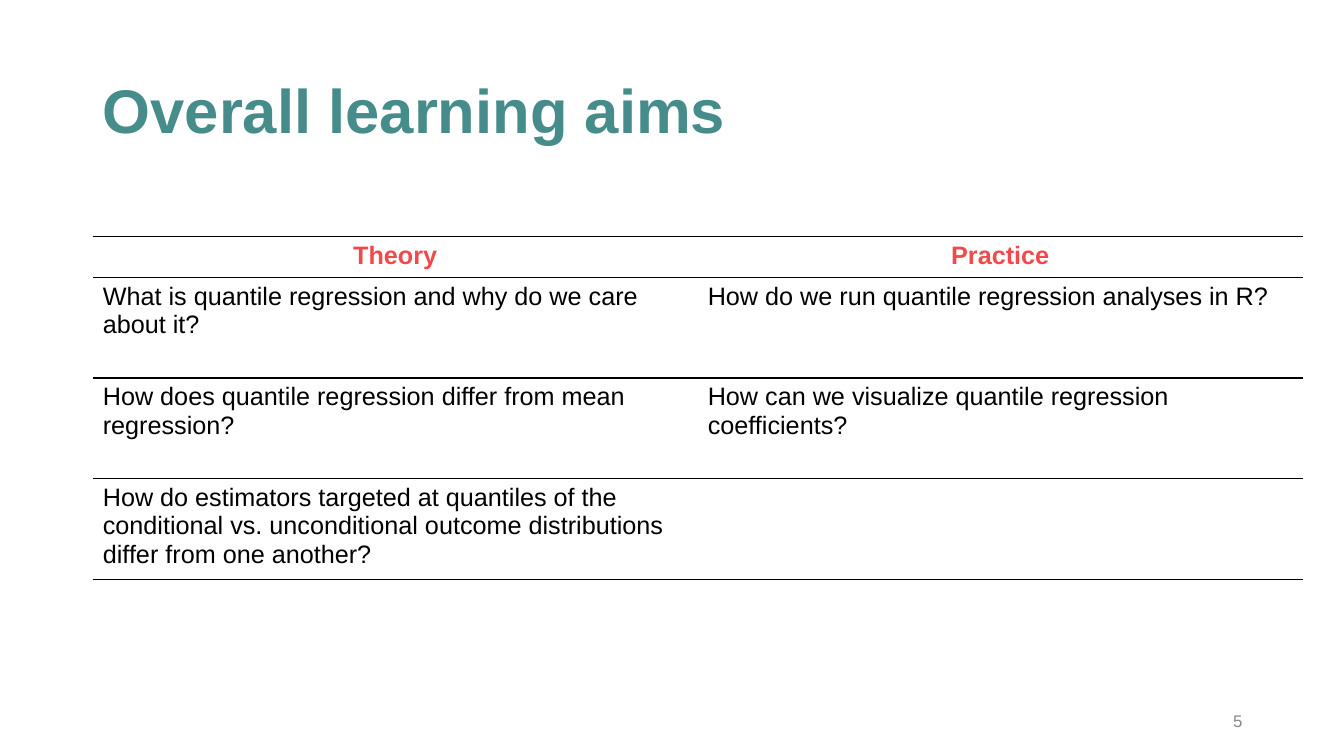
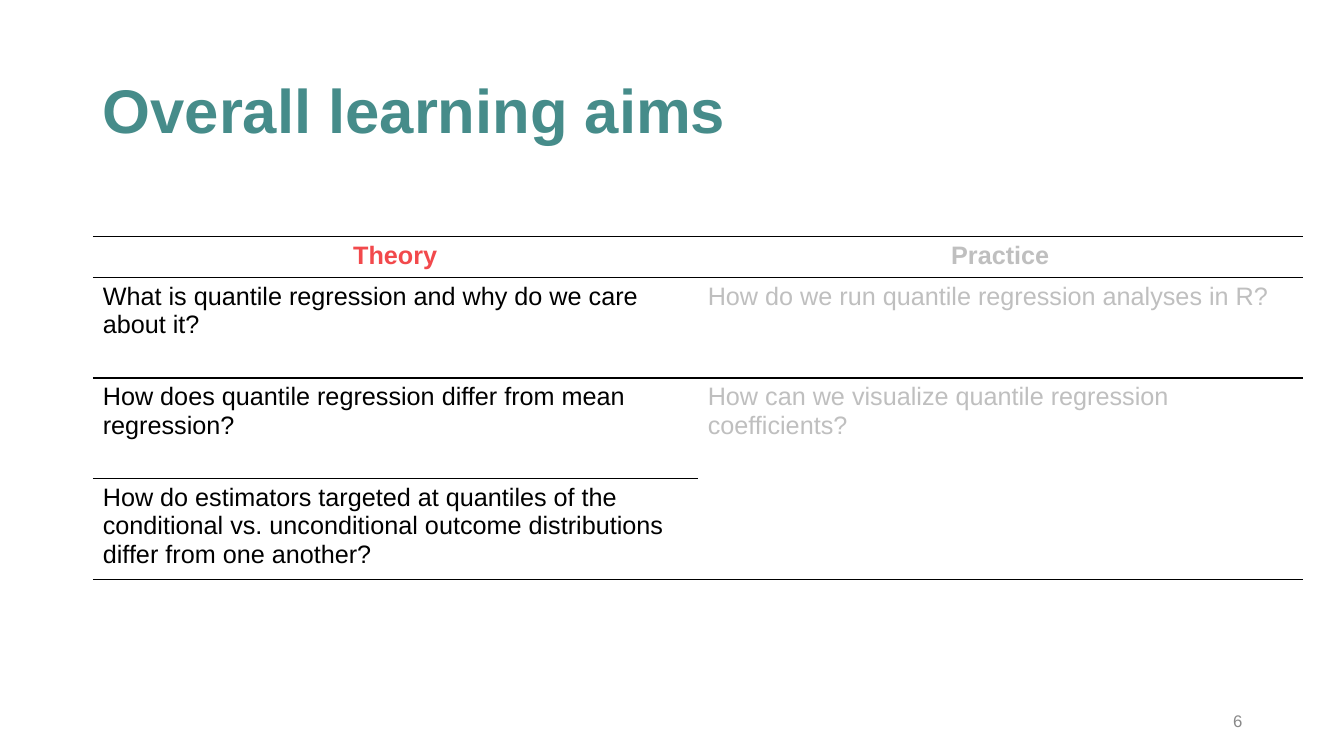
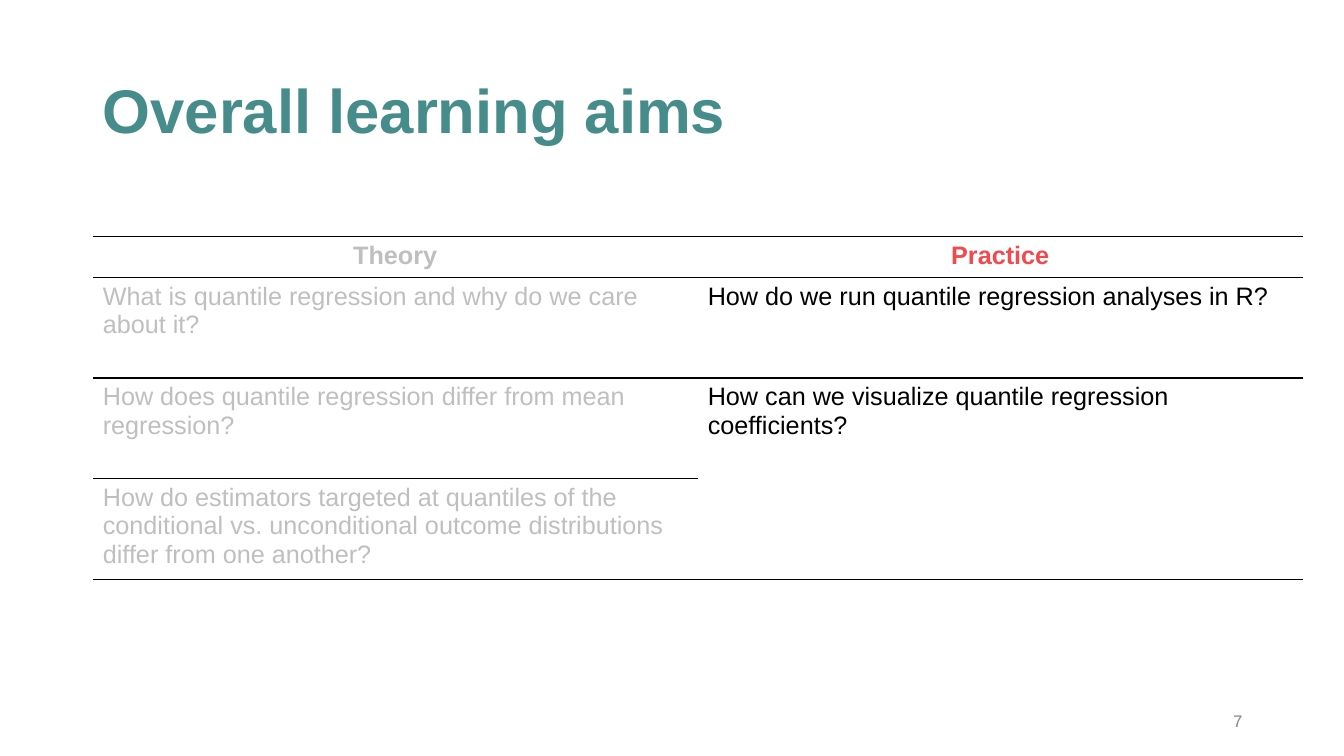
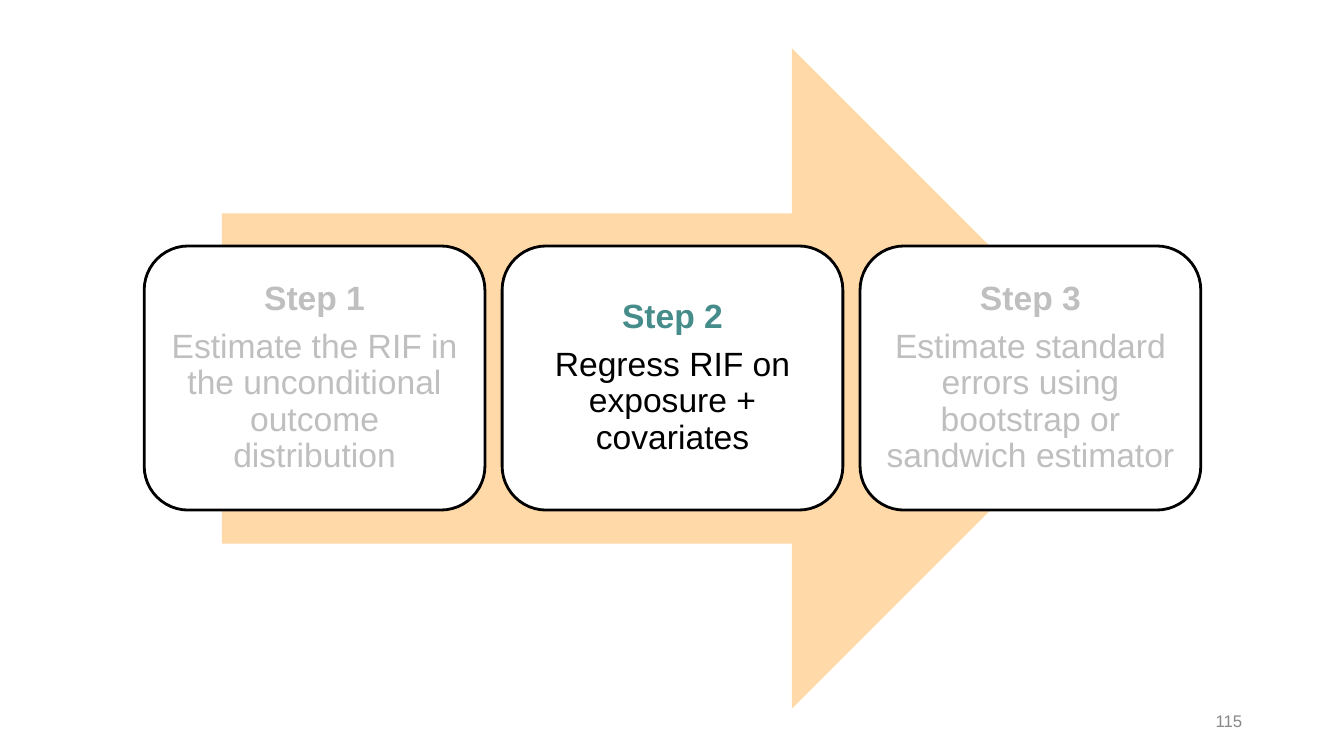
from lxml import etree
from pptx import Presentation
from pptx import util as u
from pptx.dml.color import RGBColor
from pptx.enum import shapes, text
from pptx.oxml.ns import qn

COLORS = {
    "teal": "468C8A", "red": "F2494C", "black": "000000", "white": "FFFFFF",
    "dimmed": "BFBFBF", "number": "888888", "arrow": "FF9300",
}
FONT = "Arial"
NO_STYLE_NO_GRID = "{2D5ABB26-0587-4C30-8999-92F81FD0307C}"


def add_run(p, words, size, color, bold=False):
    r = p.add_run()
    r.text = words
    r.font.name = FONT
    r.font.size = u.Pt(size)
    r.font.bold = bold
    r.font.color.rgb = RGBColor.from_string(COLORS[color])


def add_label(s, box, words, size, color, bold=False, align=text.PP_ALIGN.LEFT):
    tf = s.shapes.add_textbox(*map(u.Inches, box)).text_frame
    tf.word_wrap = True
    tf.vertical_anchor = text.MSO_ANCHOR.MIDDLE
    p = tf.paragraphs[0]
    p.alignment = align
    p.line_spacing = 0.9 if bold else 1.0
    add_run(p, words, size, color, bold)


prs = Presentation()
prs.slide_width, prs.slide_height = u.Inches(13.33), u.Inches(7.5)

# Slides with their numbers
slides = []
for number in (5, 6, 7, 115):
    s = prs.slides.add_slide(prs.slide_layouts[6])
    add_label(s, (9.42, 6.95, 3, 0.4), str(number), 12, "number",
              align=text.PP_ALIGN.RIGHT)
    slides.append(s)

# Learning aims: all columns active, then theory, then practice
aims = [
    ("Theory", "Practice"),
    ("What is quantile regression and why do we care about it?",
     "How do we run quantile regression analyses in R?"),
    ("How does quantile regression differ from mean regression?",
     "How can we visualize quantile regression coefficients?"),
    ("How do estimators targeted at quantiles of the conditional vs. "
     "unconditional outcome distributions differ from one another?", ""),
]
for s, active in zip(slides, [(0, 1), (0,), (1,)]):
    add_label(s, (0.92, 0.4, 11.5, 1.45), "Overall learning aims", 44, "teal", True)

    frame = s.shapes.add_table(4, 2, *map(u.Inches, (0.92, 2.35, 12, 3.4)))
    table = frame.table
    table._tbl.tblPr.find(qn("a:tableStyleId")).text = NO_STYLE_NO_GRID
    table.horz_banding = False
    for i, row in enumerate(aims):
        table.rows[i].height = u.Inches(1 if i else 0.4)
        for j, words in enumerate(row):
            cell = table.cell(i, j)

            # Rules around the header, under the first aim and at the bottom
            ruled_below = {0, 3} | ({1} if j == 0 or len(active) == 2 else set())
            edges = ["lnT"] if i == 0 or i - 1 in ruled_below else []
            edges += ["lnB"] if i in ruled_below else []
            for edge in edges:
                ln = etree.SubElement(cell._tc.get_or_add_tcPr(), qn("a:" + edge),
                                      w=str(u.Pt(1)))
                fill = etree.SubElement(ln, qn("a:solidFill"))
                etree.SubElement(fill, qn("a:srgbClr"), val=COLORS["black"])
            cell.fill.background()

            p = cell.text_frame.paragraphs[0]
            if i == 0:
                p.alignment = text.PP_ALIGN.CENTER
            color = "dimmed" if j not in active else "black" if i else "red"
            if words:
                add_run(p, words, 18, color, bold=i == 0)

# Process arrow
s = slides[-1]
sp = s.shapes.add_shape(shapes.MSO_SHAPE.RIGHT_ARROW,
                        *map(u.Inches, (2.2, 0.48, 8.93, 6.55)))
sp.shadow.inherit = False
sp.fill.solid()
sp.fill.fore_color.rgb = RGBColor.from_string(COLORS["arrow"])
sp.line.fill.background()
clr = sp._element.spPr.find(qn("a:solidFill")).find(qn("a:srgbClr"))
etree.SubElement(clr, qn("a:alpha"), val="34000")

# Step cards, the second one highlighted
steps = [
    ("Estimate the RIF in the unconditional outcome distribution", "dimmed", "dimmed"),
    ("Regress RIF on exposure + covariates", "teal", "black"),
    ("Estimate standard errors using bootstrap or sandwich estimator",
     "dimmed", "dimmed"),
]
for i, (words, head_color, body_color) in enumerate(steps):
    sp = s.shapes.add_shape(shapes.MSO_SHAPE.ROUNDED_RECTANGLE,
                            *map(u.Inches, (1.43 + 3.55 * i, 2.44, 3.38, 2.62)))
    sp.shadow.inherit = False
    sp.fill.solid()
    sp.fill.fore_color.rgb = RGBColor.from_string(COLORS["white"])
    sp.line.color.rgb = RGBColor.from_string(COLORS["black"])
    sp.line.width = u.Pt(2)
    tf = sp.text_frame
    tf.word_wrap = True
    tf.vertical_anchor = text.MSO_ANCHOR.MIDDLE
    tf.margin_top = tf.margin_bottom = u.Inches(0.1)
    head, body = tf.paragraphs[0], tf.add_paragraph()
    for p in (head, body):
        p.alignment = text.PP_ALIGN.CENTER
        p.line_spacing = 0.9
    head.space_after = u.Pt(8.4)
    add_run(head, f"Step {i + 1}", 24, head_color, True)
    add_run(body, words, 24, body_color)

prs.save("out.pptx")
